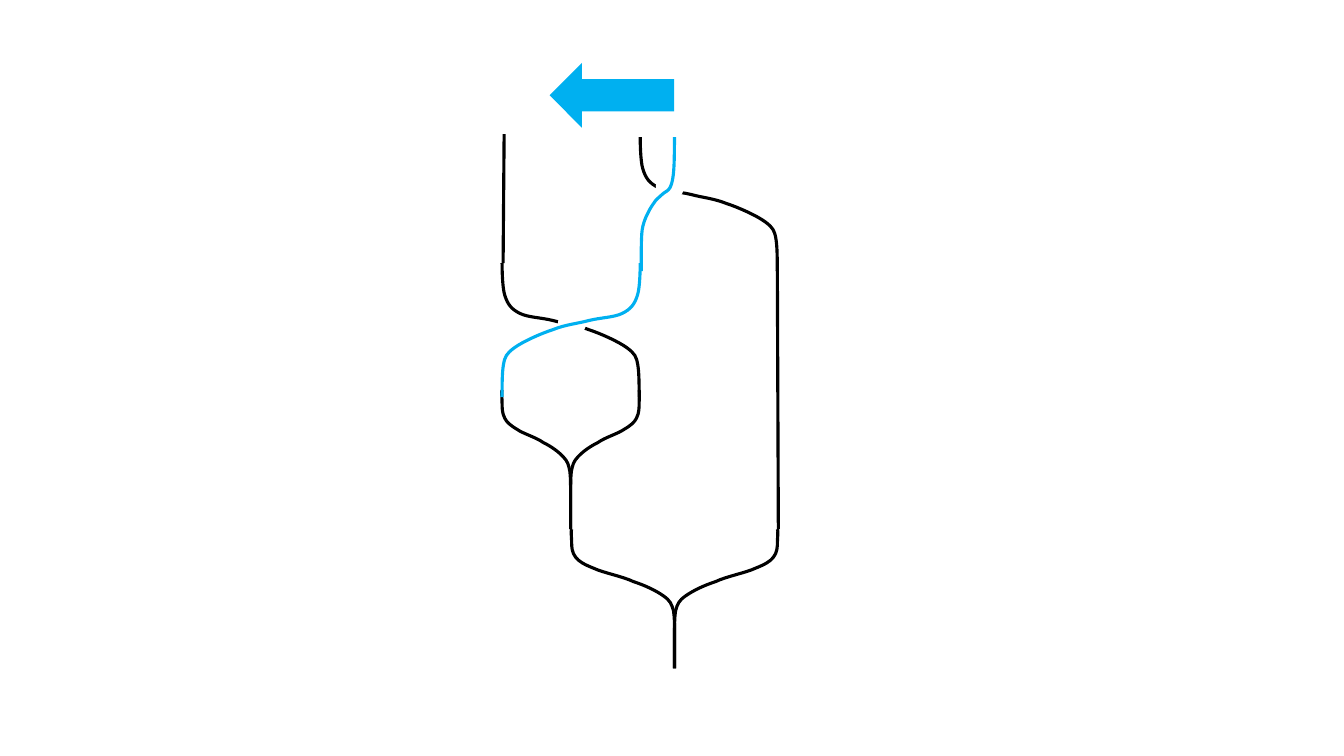
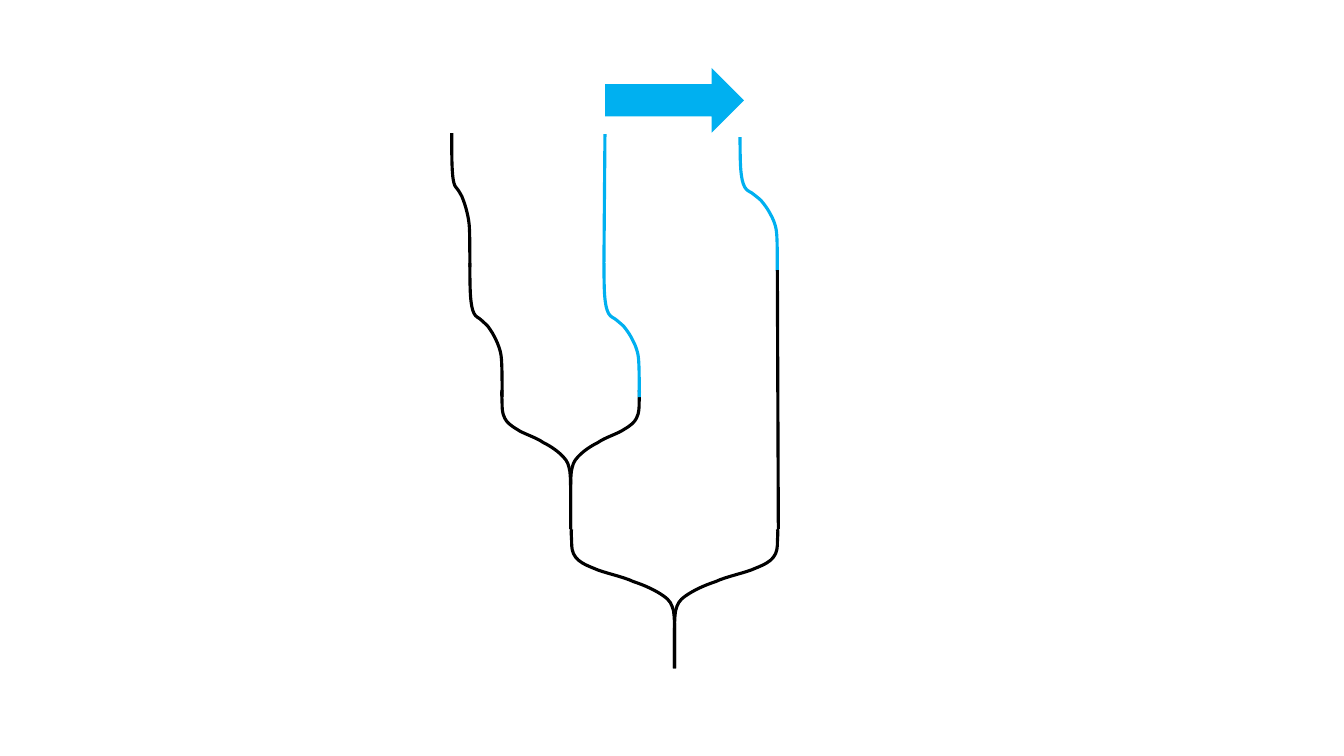
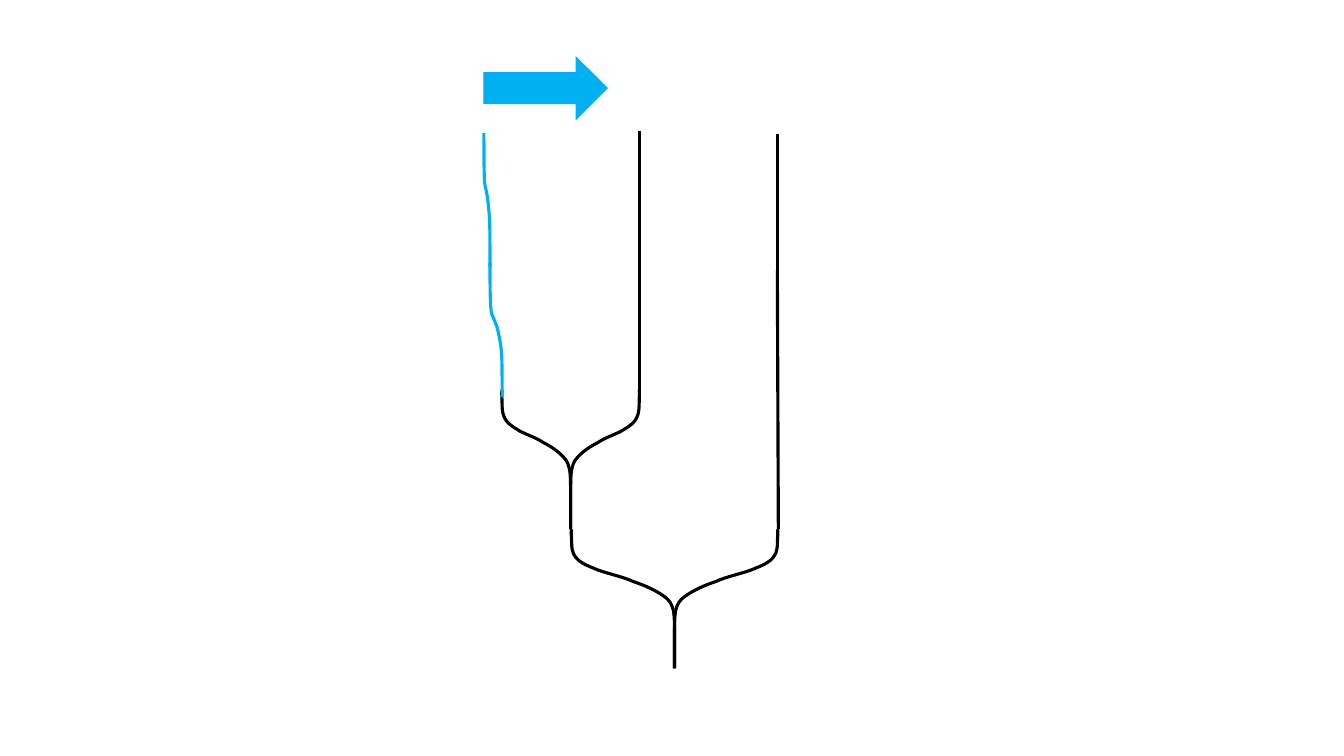
"""Three slides of branching strands with one strand moved sideways."""
from pptx import Presentation
from pptx.dml.color import RGBColor
from pptx.enum.shapes import MSO_CONNECTOR, MSO_SHAPE
from pptx.oxml.ns import qn
from pptx.util import Inches, Pt

STRAIGHT = MSO_CONNECTOR.STRAIGHT
ELLIPSE = MSO_SHAPE.OVAL
LEFT, RIGHT = MSO_SHAPE.LEFT_ARROW, MSO_SHAPE.RIGHT_ARROW

COLORS = {"black": "000000", "blue": "00B0F0", "white": "FFFFFF"}
STRAND_WIDTH = Pt(2.25)

# Bézier points: share of the sideways move, vertical distance in inches
FORK = [
    (0, 0), (-0.01, 0.01), (0, 0.09), (0, 0.13), (0, 0.17), (0, 0.23), (0.04, 0.28),
    (0.07, 0.32), (0.12, 0.35), (0.22, 0.39), (0.3, 0.43), (0.5, 0.47), (0.6, 0.52),
    (0.72, 0.56), (0.82, 0.61), (0.89, 0.66), (0.96, 0.71), (0.97, 0.74), (0.99, 0.81),
    (1, 0.88), (1, 0.94), (1, 1.09), (1, 1.23), (1, 1.37), (1, 1.38)]
BEND = [
    (0, 0), (0, -0.12), (0, -0.24), (0.01, -0.32), (0.02, -0.4), (0.03, -0.43),
    (0.09, -0.49), (0.15, -0.55), (0.28, -0.63), (0.37, -0.67), (0.46, -0.72),
    (0.55, -0.73), (0.63, -0.76), (0.72, -0.79), (0.81, -0.79), (0.87, -0.83),
    (0.93, -0.87), (0.96, -0.92), (0.98, -1.01), (1, -1.09), (1, -1.31), (1, -1.33)]

FORKS = [(5.67, 5.25, 6.69), (7.71, 5.25, 6.69), (4.98, 3.87, 5.66), (6.34, 3.87, 5.66)]
TRUNK = ("line", "black", 7.71, 2.68, 7.72, 5.25)

SLIDES = [
    [("bend", "black", 6.34, 3.94, 4.98),
     ("gap", "white", 5.55, 3.08),
     ("bend", "blue", 4.98, 3.94, 6.35),
     ("bend", "black", 7.71, 2.69, 6.35),
     ("gap", "white", 6.52, 1.73),
     ("bend", "blue", 6.36, 2.69, 6.69),
     TRUNK,
     ("line", "black", 5, 1.33, 4.99, 2.61),
     (LEFT, "blue", 5.46, 0.64, 1.22)],
    [("bend", "blue", 7.71, 2.69, 7.34),
     ("bend", "black", 4.98, 3.94, 4.66),
     TRUNK,
     ("bend", "blue", 6.34, 3.94, 5.99),
     ("line", "blue", 6, 1.33, 5.99, 2.61),
     ("bend", "black", 4.66, 2.65, 4.48),
     (RIGHT, "blue", 6.01, 0.69, 1.36)],
    [TRUNK,
     ("gap", "white", 5.45, 1.75),
     ("line", "black", 6.34, 1.3, 6.34, 4),
     ("line", "black", 7.71, 1.33, 7.71, 2.68),
     ("bend", "blue", 4.98, 3.94, 4.86),
     ("bend", "blue", 4.86, 2.65, 4.8),
     (RIGHT, "blue", 4.8, 0.57, 1.22)],
]


def add_curve(s, profile, x0, y0, x1):
    """Draw an open Bézier strand that follows a profile."""
    pts = [(Inches(x0 + u * (x1 - x0)), Inches(y0 + v)) for u, v in profile]
    builder = s.shapes.build_freeform(*pts[0])
    builder.add_line_segments(pts[1:], close=False)
    sp = builder.convert_to_shape()
    segments = list(sp._element.iter(qn("a:lnTo")))
    for i in range(0, len(segments), 3):
        bezier = segments[i].makeelement(qn("a:cubicBezTo"), {})
        segments[i].addprevious(bezier)
        for segment in segments[i:i + 3]:
            bezier.append(segment[0])
            segment.getparent().remove(segment)
    sp.fill.background()
    return sp


def add_solid(s, shape, color, left, top, width, height):
    """Draw a filled preset shape."""
    sp = s.shapes.add_shape(shape, Inches(left), Inches(top), Inches(width), Inches(height))
    sp.fill.solid()
    sp.fill.fore_color.rgb = RGBColor.from_string(color)
    return sp


prs = Presentation()
prs.slide_width, prs.slide_height = Inches(13.33), Inches(7.5)
forks = [("fork", "black", *fork) for fork in FORKS]

for strands in SLIDES:
    s = prs.slides.add_slide(prs.slide_layouts[6])
    for kind, name, *place in forks + strands:
        color = COLORS[name]
        width = STRAND_WIDTH
        if kind == "fork":
            sp = add_curve(s, FORK, *place)
        elif kind == "bend":
            sp = add_curve(s, BEND, *place)
        elif kind == "line":
            sp = s.shapes.add_connector(STRAIGHT, *[Inches(v) for v in place])
        elif kind == "gap":
            sp = add_solid(s, ELLIPSE, color, *place, 0.25, 0.24)
        else:
            sp = add_solid(s, kind, color, *place, 0.61)
            width = Pt(1)
        sp.line.color.rgb = RGBColor.from_string(color)
        sp.line.width = width
        sp_pr = sp._element.spPr
        ln = sp_pr.find(qn("a:ln"))
        ln.append(ln.makeelement(qn("a:miter"), {"lim": "800000"}))
        sp_pr.append(sp_pr.makeelement(qn("a:effectLst"), {}))

prs.save("out.pptx")
